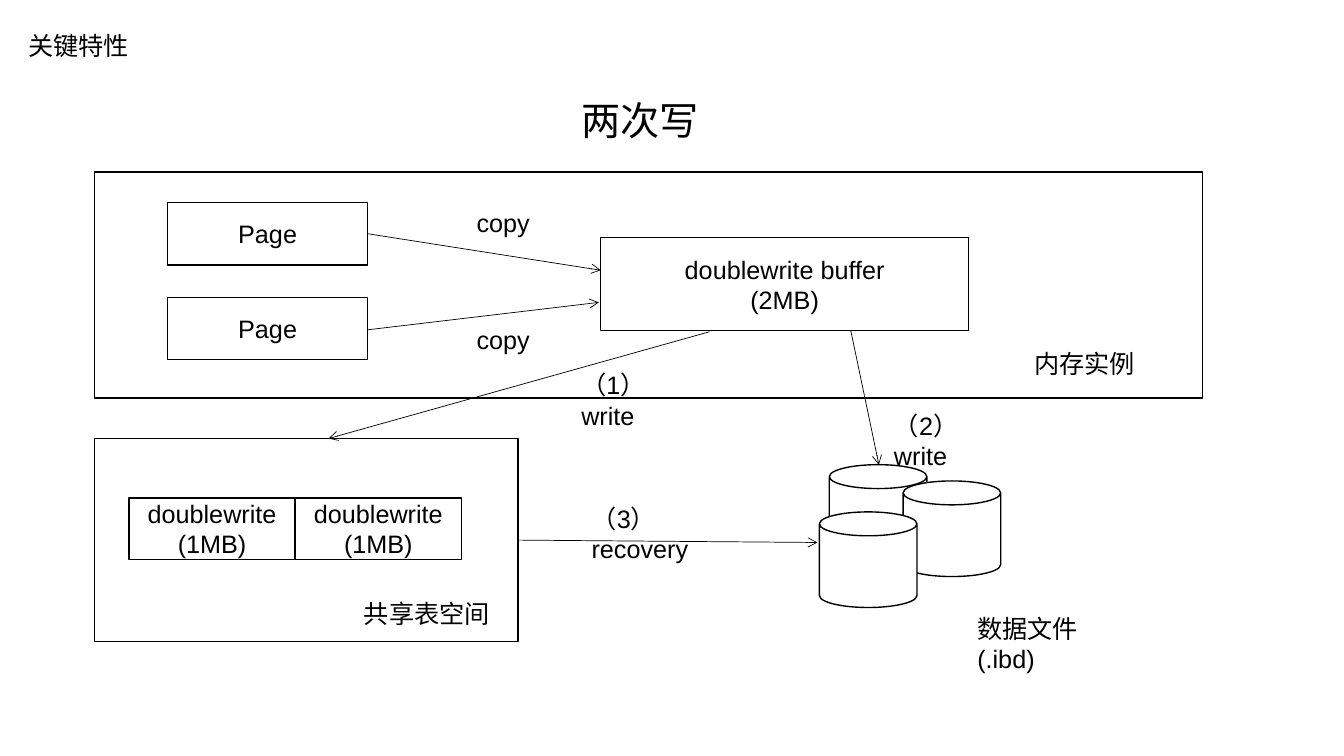
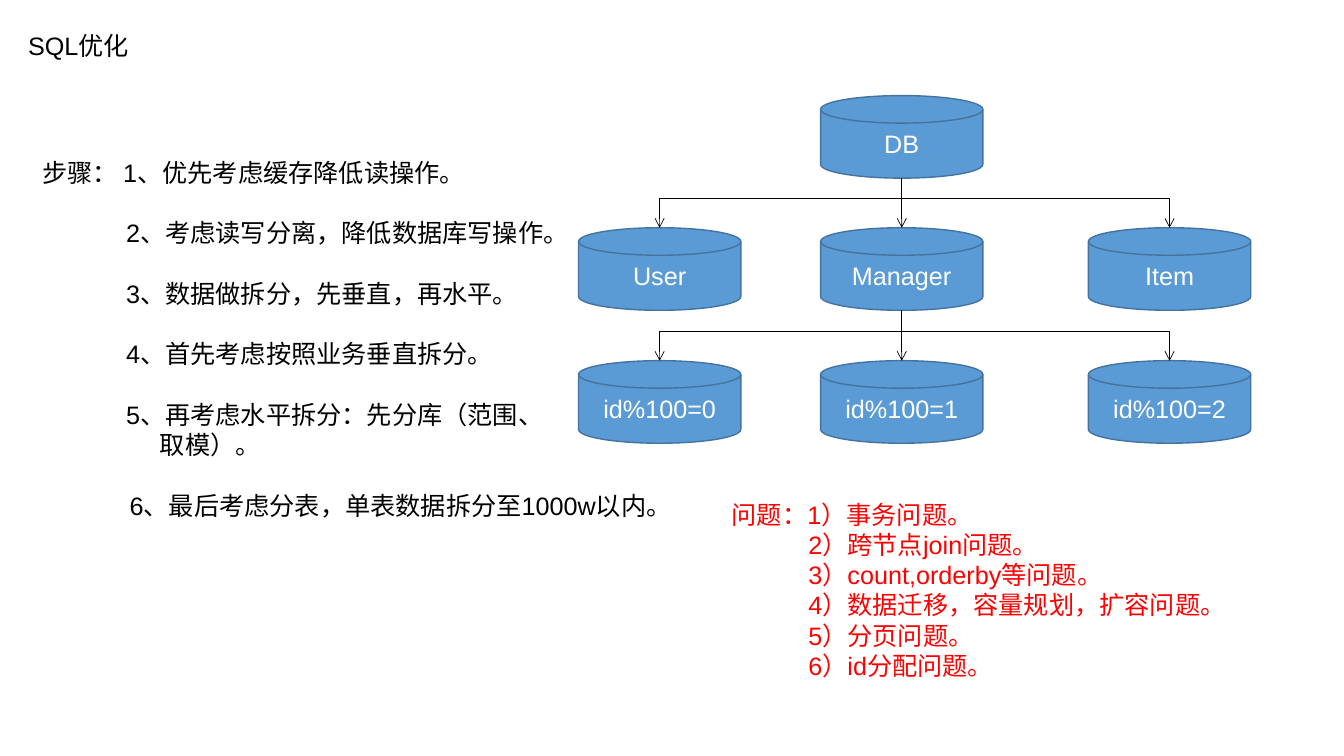
from pptx import Presentation
from pptx.dml.color import RGBColor
from pptx.enum.lang import MSO_LANGUAGE_ID
from pptx.enum.shapes import MSO_CONNECTOR, MSO_SHAPE
from pptx.enum.text import MSO_ANCHOR, PP_ALIGN
from pptx.oxml.ns import qn
from pptx.util import Cm, Pt
from lxml import etree

RECTANGLE, CAN = MSO_SHAPE.RECTANGLE, MSO_SHAPE.CAN
DISK = MSO_SHAPE.FLOWCHART_MAGNETIC_DISK
STRAIGHT, ELBOW = MSO_CONNECTOR.STRAIGHT, MSO_CONNECTOR.ELBOW
CHINESE = MSO_LANGUAGE_ID.SIMPLIFIED_CHINESE

COLORS = {"white": "FFFFFF", "black": "000000", "red": "FF0000",
          "blue": "5B9BD5", "blue_edge": "43739E"}
FONT = "Arial"
BODY_SIZE, HEADLINE_SIZE = 18, 28
LINE_HEIGHT = 1.02

# Doublewrite slide, all lengths in cm
# Boxes: left, top, width, height, text
BOXES = [
    (2.39, 4.34, 27.91, 5.69, ""),
    (4.22, 5.11, 5.05, 1.57, "Page"),
    (4.22, 7.49, 5.05, 1.57, "Page"),
    (15.14, 5.99, 9.27, 2.34, "doublewrite buffer\n(2MB)"),
    (2.39, 11.05, 10.67, 5.11, ""),
    (3.25, 12.55, 4.19, 1.55, "doublewrite\n(1MB)"),
    (7.44, 12.55, 4.19, 1.55, "doublewrite\n(1MB)"),
]
DATA_FILES = [(20.9, 11.71), (22.76, 12.12), (20.65, 12.9)]
DATA_FILE_SIZE = (2.46, 2.41)
# Labels: left, top, width, text
LABELS = [
    (25.81, 8.66, 3.1, "内存实例"),
    (11.76, 5.11, 2.2, "copy"),
    (11.76, 8.05, 2.2, "copy"),
    (8.92, 14.96, 3.8, "共享表空间"),
    (24.38, 15.32, 4.2, "数据文件(.ibd)"),
    (14.4, 9.19, 3.3, "（1）write"),
    (22.28, 10.21, 3.3, "（2）write"),
    (14.66, 12.55, 4.3, "（3）recovery"),
]
# Arrows: start x, start y, end x, end y
ARROWS = [
    (9.27, 5.89, 15.14, 6.81),
    (9.27, 8.31, 15.09, 7.62),
    (17.88, 8.36, 8.28, 11.05),
    (21.44, 8.33, 22.15, 11.71),
    (13.08, 13.61, 20.6, 13.67),
]

# SQL slide
DISK_COLUMNS = (14.58, 20.68, 27.43)
DISK_SIZE = (4.09, 2.08)
TRUNK = 1  # column that carries the parent disks
BRANCH_RISE = 0.73
# Disk rows: top, {column: text}
DISK_ROWS = [
    (2.41, {1: "DB"}),
    (5.74, {0: "User", 1: "Manager", 2: "Item"}),
    (9.09, {0: "id%100=0", 1: "id%100=1", 2: "id%100=2"}),
]
# List lines: text, left indent in cm, space before in points
STEP_GAP = 21.6
STEPS = [
    ("步骤： 1、优先考虑缓存降低读操作。", 0, 0),
    ("2、考虑读写分离，降低数据库写操作。", 2.12, STEP_GAP),
    ("3、数据做拆分，先垂直，再水平。", 2.12, STEP_GAP),
    ("4、首先考虑按照业务垂直拆分。", 2.12, STEP_GAP),
    ("5、再考虑水平拆分：先分库（范围、", 2.12, STEP_GAP),
    ("取模）。", 2.97, 0),
    ("6、最后考虑分表，单表数据拆分至1000w以内。", 2.21, STEP_GAP),
]
PROBLEMS = [("问题：1）事务问题。", 0, 0)] + [
    (text, 1.93, 0) for text in (
        "2）跨节点join问题。", "3）count,orderby等问题。",
        "4）数据迁移，容量规划，扩容问题。", "5）分页问题。", "6）id分配问题。")
]


def rgb(name):
    return RGBColor.from_string(COLORS[name])


def format_text(text_frame, color, size=BODY_SIZE):
    for paragraph in text_frame.paragraphs:
        for run in paragraph.runs:
            run.font.name = FONT
            run.font.size = Pt(size)
            run.font.color.rgb = rgb(color)
            run.font.language_id = CHINESE


def add_label(slide, left, top, width, text, color="black", size=BODY_SIZE):
    box = slide.shapes.add_textbox(Cm(left), Cm(top), Cm(width), Cm(LINE_HEIGHT))
    box.text_frame.word_wrap = True
    box.text_frame.text = text
    format_text(box.text_frame, color, size)
    return box


def add_list(slide, left, top, width, lines, color="black"):
    text = "\n".join(line[0] for line in lines)
    box = add_label(slide, left, top, width, text, color)
    for paragraph, (_, indent, gap) in zip(box.text_frame.paragraphs, lines):
        paragraph.space_before = Pt(gap)
        properties = paragraph._p.get_or_add_pPr()
        properties.set("marL", str(Cm(indent)))
        properties.set("indent", "0")


def add_figure(slide, kind, left, top, width, height, text="",
               fill="white", edge="black", color="black"):
    shape = slide.shapes.add_shape(kind, Cm(left), Cm(top), Cm(width), Cm(height))
    shape.shadow.inherit = False
    shape.fill.solid()
    shape.fill.fore_color.rgb = rgb(fill)
    shape.line.color.rgb = rgb(edge)
    shape.line.width = Pt(1)
    if text:
        shape.text_frame.text = text
        shape.text_frame.vertical_anchor = MSO_ANCHOR.MIDDLE
        for paragraph in shape.text_frame.paragraphs:
            paragraph.alignment = PP_ALIGN.CENTER
        format_text(shape.text_frame, color)


def add_arrow(slide, start_x, start_y, end_x, end_y, kind=STRAIGHT):
    connector = slide.shapes.add_connector(
        kind, Cm(start_x), Cm(start_y), Cm(end_x), Cm(end_y))
    connector.line.color.rgb = rgb("black")
    connector.line.width = Pt(0.5)
    properties = connector._element.spPr
    if kind == ELBOW:  # one corner: across, then down
        properties.find(qn("a:prstGeom")).set("prst", "bentConnector2")
    etree.SubElement(properties.find(qn("a:ln")), qn("a:tailEnd"), type="arrow")
    etree.SubElement(properties, qn("a:effectLst"))


def add_slide(presentation, title):
    slide = presentation.slides.add_slide(presentation.slide_layouts[6])
    slide.background.fill.solid()
    slide.background.fill.fore_color.rgb = rgb("white")
    add_label(slide, 0.46, 0.64, 3.1, title)
    return slide


def build_doublewrite(presentation):
    slide = add_slide(presentation, "关键特性")
    add_label(slide, 14.4, 2.31, 3.7, "两次写", size=HEADLINE_SIZE)
    for left, top, width, height, text in BOXES:
        add_figure(slide, RECTANGLE, left, top, width, height, text)
    for left, top in DATA_FILES:
        add_figure(slide, CAN, left, top, *DATA_FILE_SIZE)
    for label in LABELS:
        add_label(slide, *label)
    for arrow in ARROWS:
        add_arrow(slide, *arrow)


def build_sql(presentation):
    slide = add_slide(presentation, "SQL优化")
    width, height = DISK_SIZE
    centers = [left + width / 2 for left in DISK_COLUMNS]
    for top, disks in DISK_ROWS:
        for column, text in disks.items():
            add_figure(slide, DISK, DISK_COLUMNS[column], top, width, height,
                       text, "blue", "blue_edge", "white")

    # Tree arrows from each trunk disk to the row below
    for (parent_top, _), (child_top, children) in zip(DISK_ROWS, DISK_ROWS[1:]):
        for column in children:
            if column == TRUNK:
                start_y, kind = parent_top + height, STRAIGHT
            else:
                start_y, kind = child_top - BRANCH_RISE, ELBOW
            add_arrow(slide, centers[TRUNK], start_y,
                      centers[column], child_top, kind)

    add_list(slide, 0.81, 3.84, 17.4, STEPS)
    add_list(slide, 18.19, 12.45, 13.2, PROBLEMS, "red")


def main():
    presentation = Presentation()
    presentation.slide_width, presentation.slide_height = Cm(33.87), Cm(19.05)
    build_doublewrite(presentation)
    build_sql(presentation)
    presentation.save("out.pptx")


if __name__ == "__main__":
    main()
